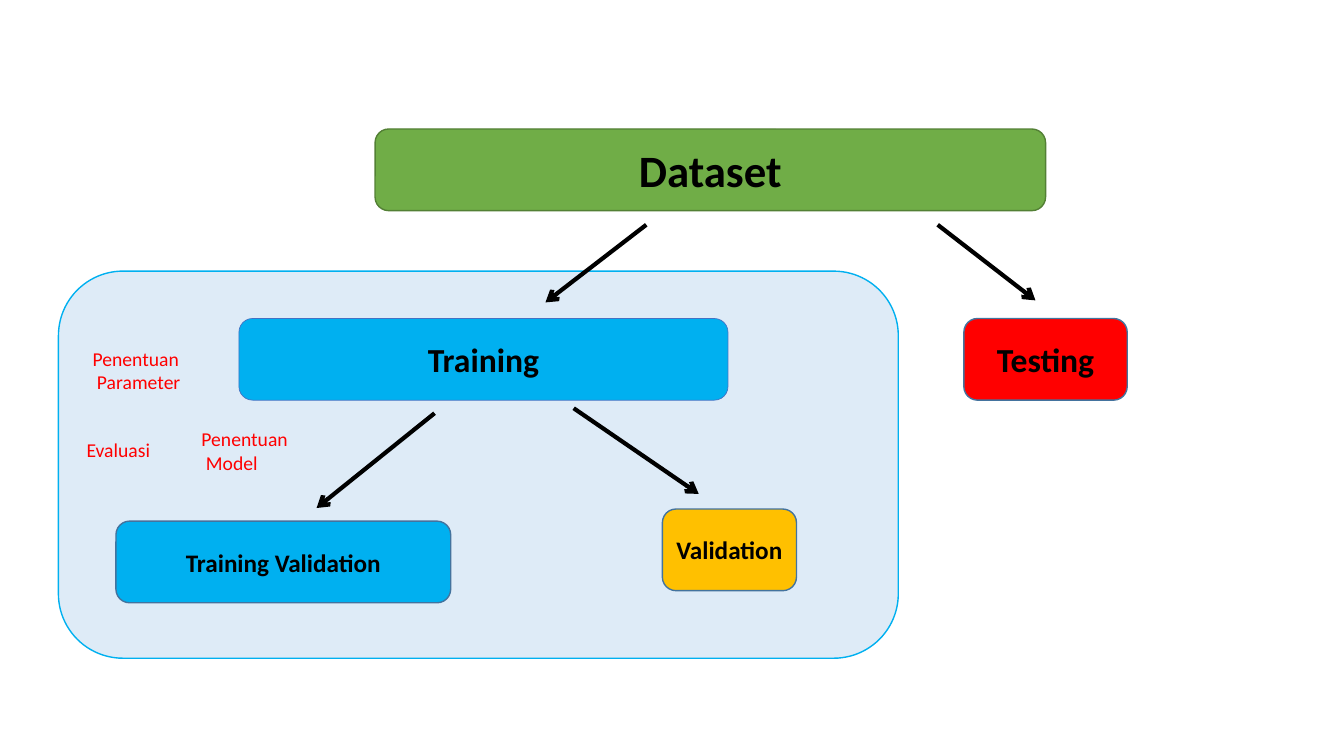
import pptx
import pptx.dml.color
import pptx.enum.shapes
import pptx.enum.text
import pptx.oxml
import pptx.oxml.ns
import pptx.util

Inches = pptx.util.Inches
RGBColor = pptx.dml.color.RGBColor

BLACK = RGBColor(0x00, 0x00, 0x00)
RED = RGBColor(0xFF, 0x00, 0x00)
GREEN = RGBColor(0x70, 0xAD, 0x47)
DARK_GREEN = RGBColor(0x53, 0x80, 0x35)
SKY = RGBColor(0x00, 0xB0, 0xF0)
PALE_BLUE = RGBColor(0xDE, 0xEB, 0xF7)
BLUE = RGBColor(0x44, 0x72, 0xC4)
STEEL = RGBColor(0x43, 0x73, 0x9E)
GOLD = RGBColor(0xFF, 0xC0, 0x00)

BOX_HEIGHT = 0.81


def add_box(slide, left, top, width, height, fill, line, line_width=1):
    box = slide.shapes.add_shape(
        pptx.enum.shapes.MSO_SHAPE.ROUNDED_RECTANGLE,
        Inches(left), Inches(top), Inches(width), Inches(height))
    box.shadow.inherit = False
    box.fill.solid()
    box.fill.fore_color.rgb = fill
    box.line.color.rgb = line
    box.line.width = pptx.util.Pt(line_width)
    return box


def write_line(para, text, color, formats):
    span = para.add_run()
    span.text = text
    span.font.color.rgb = color
    for name, value in formats.items():
        setattr(span.font, name, value)


deck = pptx.Presentation()
deck.slide_width = Inches(13.33)
deck.slide_height = Inches(7.5)
page = deck.slides.add_slide(deck.slide_layouts[6])

# Training area behind the tree
add_box(page, 0.58, 2.69, 8.33, 3.84, PALE_BLUE, SKY)

# Data sets: text, size, left, top, width, fill, line, line width
data_sets = [
    ("Dataset", 32, 3.72, 1.28, 6.65, GREEN, DARK_GREEN, 1),
    ("Training", 24, 2.37, 3.16, 4.85, SKY, BLUE, 0.5),
    ("Testing", 24, 9.56, 3.16, 1.62, RED, STEEL, 1),
    ("Training Validation", 18, 1.15, 5.17, 3.32, SKY, STEEL, 1),
    ("Validation", 18, 6.57, 5.05, 1.33, GOLD, STEEL, 1),
]
for text, size, left, top, width, fill, line, line_width in data_sets:
    box = add_box(page, left, top, width, BOX_HEIGHT, fill, line, line_width)
    box.text_frame.vertical_anchor = pptx.enum.text.MSO_ANCHOR.MIDDLE
    para = box.text_frame.paragraphs[0]
    para.alignment = pptx.enum.text.PP_ALIGN.CENTER
    write_line(para, text, BLACK,
               {"name": "Calibri", "size": pptx.util.Pt(size), "bold": True})

# Arrows from each set to its parts
arrows = [
    (6.41, 2.23, 5.41, 3.0),
    (9.3, 2.23, 10.27, 2.98),
    (4.31, 4.1, 3.14, 5.04),
    (5.69, 4.05, 6.93, 4.9),
]
for ends in arrows:
    arrow = page.shapes.add_connector(
        pptx.enum.shapes.MSO_CONNECTOR.STRAIGHT, *map(Inches, ends))
    arrow.line.color.rgb = BLACK
    arrow.line.width = pptx.util.Pt(3)
    namespace = pptx.oxml.ns.nsdecls("a")
    arrow.line._get_or_add_ln().append(
        pptx.oxml.parse_xml(f'<a:tailEnd {namespace} type="arrow"/>'))
    arrow._element.spPr.append(
        pptx.oxml.parse_xml(f"<a:effectLst {namespace}/>"))

# Red notes on the training steps, each wider than its longest word
notes = [
    (["Penentuan", " Parameter"], 0.82, 3.39, 1.37, 0.57),
    (["Evaluasi"], 0.76, 4.3, 0.95, 0.34),
    (["Penentuan", " Model"], 1.9, 4.19, 1.2, 0.57),
]
for lines, left, top, width, height in notes:
    note = page.shapes.add_textbox(
        Inches(left), Inches(top), Inches(width), Inches(height))
    frame = note.text_frame
    frame.word_wrap = True
    frame.auto_size = pptx.enum.text.MSO_AUTO_SIZE.SHAPE_TO_FIT_TEXT
    for index, text in enumerate(lines):
        para = frame.add_paragraph() if index else frame.paragraphs[0]
        write_line(para, text, RED,
                   {"name": "Calibri", "size": pptx.util.Pt(14)})

deck.save("out.pptx")
